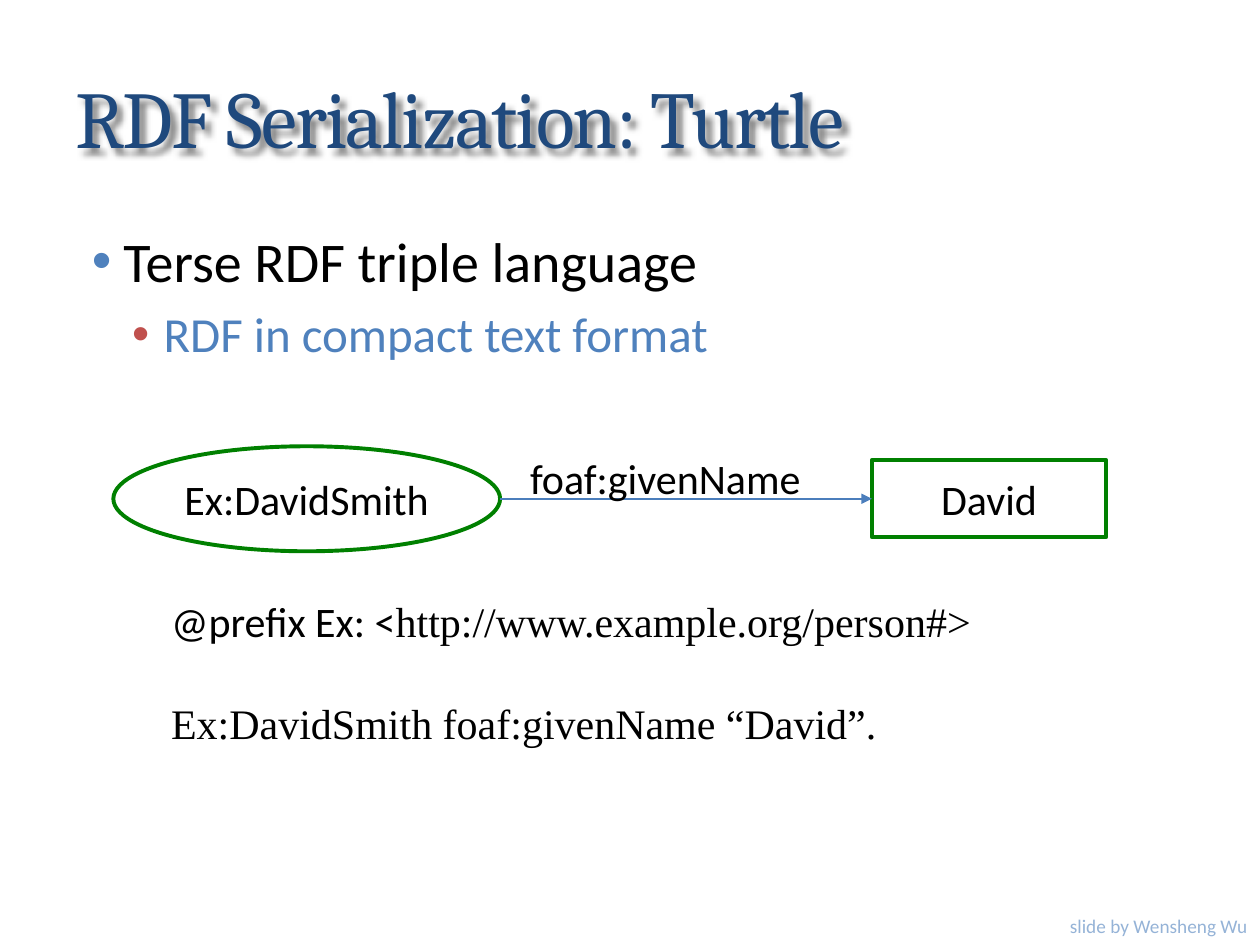
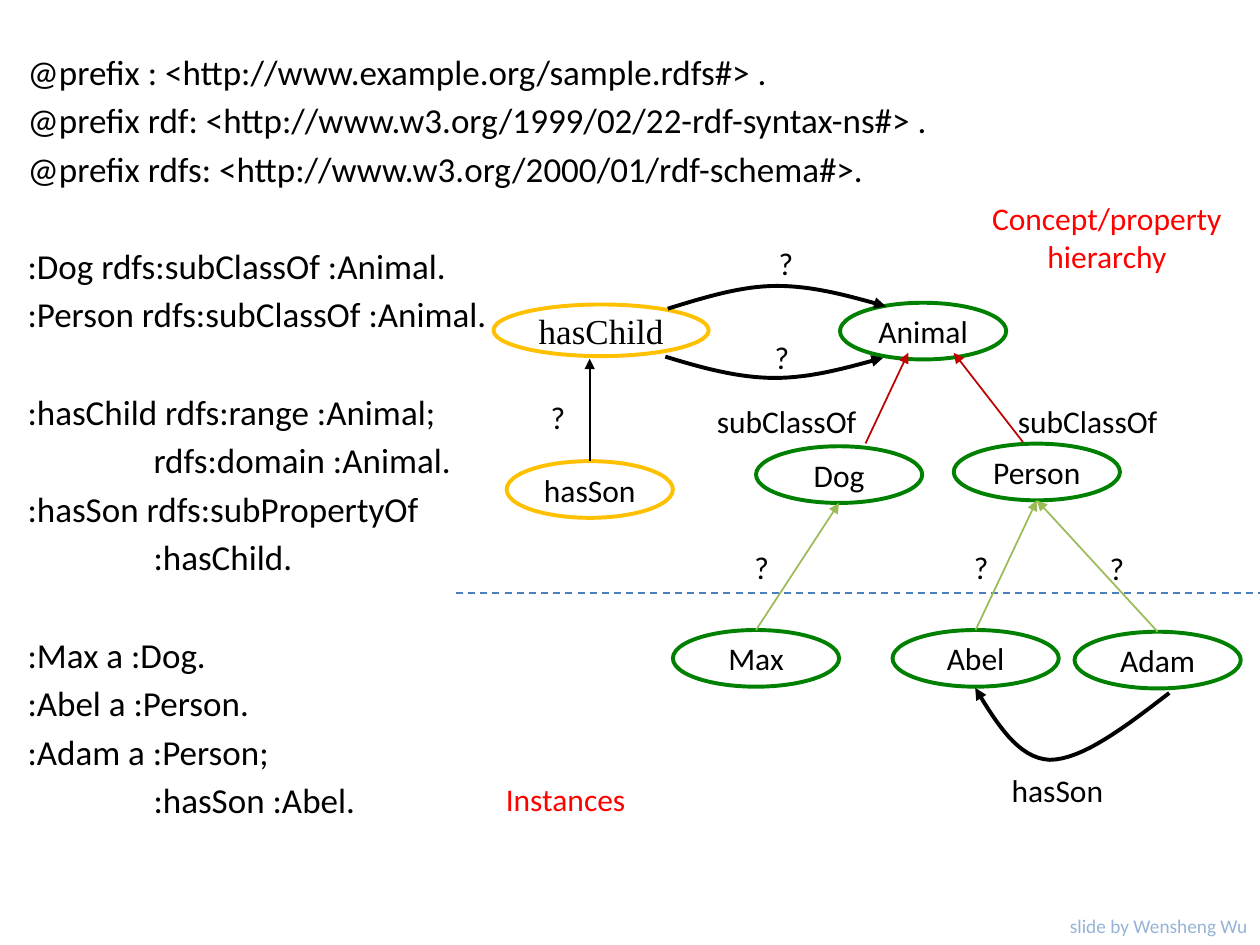
from collections import namedtuple

from lxml import etree
from pptx import Presentation
from pptx.dml.color import RGBColor
from pptx.enum.dml import MSO_LINE_DASH_STYLE as Dash
from pptx.enum.shapes import MSO_CONNECTOR as Connector, MSO_SHAPE as Shape
from pptx.enum.text import MSO_ANCHOR as Anchor, PP_ALIGN as Align
from pptx.oxml.ns import qn
from pptx.util import Pt

COLORS = {
    "title": "1F497D", "text": "000000", "accent": "4F81BD",
    "sub_bullet": "C0504D", "link": "4B7EBC", "green": "008000",
    "gold": "FFC000", "red": "C00000", "note": "FF0000",
    "instance": "9BBB59", "footer": "95B3D7",
}
BODY, HEADING, SERIF = "Calibri", "Cambria", "Times New Roman"
Box = namedtuple("Box", "left top width height")

FOOTER_BOX = Box(602.6, 519, 117.4, 21)
NODE_WIDTH, NODE_HEIGHT = 95, 32.4


# Shared helpers
def color(name):
    return RGBColor.from_string(COLORS[name])


def within(box, left, top, width, height):
    return Box(box.left + left, box.top + top, width, height)


def style(font, size, name=BODY, shade="text"):
    font.size, font.name = Pt(size), name
    font.color.rgb = color(shade)


def add_text(page, box, lines, size, name=BODY, shade="text",
             align=Align.LEFT, anchor=Anchor.TOP, wrap=False):
    shape = page.shapes.add_textbox(*map(Pt, box))
    frame = shape.text_frame
    frame.word_wrap, frame.vertical_anchor = wrap, anchor
    for index, line in enumerate(lines):
        para = frame.paragraphs[0] if index == 0 else frame.add_paragraph()
        para.text, para.alignment = line, align
        style(para.font, size, name, shade)
    return shape


def indent(para, left, hanging=0):
    props = para._p.get_or_add_pPr()
    props.set("marL", str(Pt(left)))
    props.set("indent", str(Pt(-hanging)))
    return props


def add_bullet(para, left, shade):
    props = indent(para, left, 18)
    bullet_color = etree.SubElement(props, qn("a:buClr"))
    etree.SubElement(bullet_color, qn("a:srgbClr"), val=COLORS[shade])
    etree.SubElement(props, qn("a:buFont"), typeface="Arial")
    etree.SubElement(props, qn("a:buChar"), char="•")


def set_line(shape, shade, width, arrow=False):
    shape.line.color.rgb = color(shade)
    shape.line.width = Pt(width)
    if arrow:
        etree.SubElement(shape.line._get_or_add_ln(), qn("a:tailEnd"), type="triangle")


def add_node(page, box, text, shade="green", size=18, name=BODY, kind=Shape.OVAL):
    node = page.shapes.add_shape(kind, *map(Pt, box))
    node.shadow.inherit = False
    node.fill.background()
    set_line(node, shade, 2.25)
    frame = node.text_frame
    frame.word_wrap, frame.vertical_anchor = False, Anchor.MIDDLE
    para = frame.paragraphs[0]
    para.text, para.alignment = text, Align.CENTER
    style(para.font, size, name)
    return node


def add_line(page, box, start, end, shade, arrow=True):
    ends = [Pt(base + offset) for point in (start, end)
            for base, offset in zip(box[:2], point)]
    line = page.shapes.add_connector(Connector.STRAIGHT, *ends)
    set_line(line, shade, 1, arrow)
    etree.SubElement(line._element.spPr, qn("a:effectLst"))
    return line


def bezier(points, steps=16):
    for step in range(1, steps + 1):
        t = step / steps
        weights = ((1 - t) ** 3, 3 * t * (1 - t) ** 2, 3 * t * t * (1 - t), t ** 3)
        yield tuple(sum(w * p[axis] for w, p in zip(weights, points)) for axis in (0, 1))


def add_curve(page, box, points):
    """Draw an arrow along two joined cubic curves (seven points)."""
    path = [points[0], *bezier(points[:4]), *bezier(points[3:])]
    path = [(Pt(box.left + x), Pt(box.top + y)) for x, y in path]
    builder = page.shapes.build_freeform(*path[0])
    builder.add_line_segments(path[1:], close=False)
    curve = builder.convert_to_shape()
    curve.shadow.inherit = False
    curve.fill.background()
    set_line(curve, "text", 2.25, arrow=True)


def add_footer(page, box):
    add_text(page, box, ["slide by Wensheng Wu"], 11, shade="footer", align=Align.RIGHT)


# Turtle slide
def add_title(page, box, text):
    title = add_text(page, box, [text], 46, HEADING, "title",
                     anchor=Anchor.MIDDLE, wrap=True)
    title.text_frame.paragraphs[0].runs[0]._r.get_or_add_rPr().set("spc", "-100")
    effects = etree.SubElement(title._element.spPr, qn("a:effectLst"))
    shadow = etree.SubElement(effects, qn("a:outerShdw"), blurRad=str(Pt(4)),
                              dist=str(Pt(4)), dir="2700000", algn="tl")
    shade = etree.SubElement(shadow, qn("a:srgbClr"), val=COLORS["text"])
    etree.SubElement(shade, qn("a:alpha"), val="50000")


def add_outline(page, box):
    shape = add_text(page, box, ["Terse RDF triple language",
                                 "RDF in compact text format"], 32, wrap=True)
    main, detail = shape.text_frame.paragraphs
    style(detail.font, 28, shade="accent")
    main.space_before, detail.space_before = Pt(6.4), Pt(5.6)
    add_bullet(main, 27.4, "accent")
    add_bullet(detail, 50.4, "sub_bullet")


def add_triple(page, box):
    add_node(page, within(box, 0, 0, 221, 60), "Ex:DavidSmith", size=24)
    value = add_node(page, within(box, 433.4, 8, 134, 44), "David",
                     size=24, kind=Shape.RECTANGLE)
    link = add_line(page, box, (221, 30), (433.4, 30), "link")
    link.end_connect(value, 1)
    add_text(page, within(box, 231, 0, 184, 36), ["foaf:givenName"], 24)


def add_turtle_code(page, box):
    shape = add_text(page, box, ["@prefix Ex: <", "Ex:DavidSmith foaf:givenName “David”."],
                     24, SERIF)
    prefix, statement = shape.text_frame.paragraphs
    prefix.runs[0].font.name = BODY
    address = prefix.add_run()
    address.text = "http://www.example.org/person#>"
    statement.space_before = Pt(29.5)


def build_turtle(page):
    add_title(page, Box(36, 21.6, 649, 90), "RDF Serialization: Turtle")
    add_outline(page, Box(36, 126, 648, 378))
    add_turtle_code(page, Box(90.7, 337, 482, 153))
    add_triple(page, Box(64.8, 255, 567.4, 60))
    add_footer(page, FOOTER_BOX)


# Schema slide
CODE_BLOCKS = [
    ["@prefix : <http://www.example.org/sample.rdfs#> .",
     "@prefix rdf: <http://www.w3.org/1999/02/22-rdf-syntax-ns#> .",
     "@prefix rdfs: <http://www.w3.org/2000/01/rdf-schema#>."],
    [":Dog rdfs:subClassOf :Animal.", ":Person rdfs:subClassOf :Animal."],
    [":hasChild rdfs:range :Animal;", "rdfs:domain :Animal.",
     ":hasSon rdfs:subPropertyOf", ":hasChild."],
    [":Max a :Dog.", ":Abel a :Person.", ":Adam a :Person;", ":hasSon :Abel."],
]
CONTINUATIONS = {"rdfs:domain :Animal.", ":hasChild.", ":hasSon :Abel."}
NODES = {  # name: left, top, line colour
    "Animal": (220, 63, "green"), "Dog": (172, 145, "green"),
    "Person": (285, 143.5, "green"), "hasSon": (29.5, 153.5, "gold"),
    "Max": (124.5, 250, "green"), "Abel": (250, 250, "green"),
    "Adam": (354, 251, "green"),
}
INSTANCE_OF = [("Max", "Dog"), ("Abel", "Person"), ("Adam", "Person")]
ARROWS = [
    ((234.6, 143.4), (259, 91.6), "red"),
    ((324.6, 142.7), (285, 91.6), "red"),
    ((77, 153.5), (77, 95), "text"),
]
CURVES = [
    [(121.6, 66.4), (142.5, 60), (163.4, 53.4), (184.2, 53.4),
     (205, 53.4), (225.3, 59.2), (246.2, 65)],
    [(120.2, 93.8), (141, 100.2), (162, 106), (182.8, 106),
     (203.7, 106), (223.8, 100.2), (244.7, 94.5)],
    [(408.2, 286), (383, 305.4), (358.5, 324.2), (339.8, 324.2),
     (321.8, 323.4), (309.5, 303.3), (297.3, 283.1)],
]
LABELS = [  # text, left, top, width
    ("?", 177.8, 26, 23), ("?", 175.6, 79.4, 23), ("?", 47.5, 114, 23),
    ("?", 164, 199.6, 23), ("?", 289.4, 199.6, 23), ("?", 367, 200.3, 23),
    ("subClassOf", 142.5, 116, 95), ("subClassOf", 314.5, 116, 95),
    ("hasSon", 311, 327, 67.7),
]


def add_schema_code(page, box):
    lines = [line for block in CODE_BLOCKS for line in block]
    starts = {block[0] for block in CODE_BLOCKS[1:]}
    shape = add_text(page, box, lines, 20, wrap=True)
    gap, pitch = 3.65, 28.05
    for para in shape.text_frame.paragraphs:
        indent(para, 80.64 if para.text in CONTINUATIONS else 8.64)
        para.space_before = Pt(gap + pitch if para.text in starts else gap)


def add_hierarchy(page, box):
    # Border between concepts and instances
    border = add_line(page, box, (0.6, 229), (460, 229), "link", arrow=False)
    border.line.dash_style = Dash.DASH

    # Nodes
    for name, (left, top, shade) in NODES.items():
        add_node(page, within(box, left, top, NODE_WIDTH, NODE_HEIGHT), name, shade)
    add_node(page, within(box, 22, 64, 123, 29.5), "hasChild", "gold", 20, SERIF)

    # Arrows
    for start, end, shade in ARROWS:
        add_line(page, box, start, end, shade)
    for child, parent in INSTANCE_OF:
        (left, top, _), (up_left, up_top, _) = NODES[child], NODES[parent]
        add_line(page, box, (left + NODE_WIDTH / 2, top),
                 (up_left + NODE_WIDTH / 2, up_top + NODE_HEIGHT), "instance")
    for points in CURVES:
        add_curve(page, box, points)

    # Labels
    for text, left, top, width in LABELS:
        add_text(page, within(box, left, top, width, 29), [text], 18)
    add_text(page, within(box, 298.7, 0, 147.6, 51), ["Concept/property", "hierarchy"],
             18, shade="note", align=Align.CENTER)
    add_text(page, within(box, 22, 332, 83.5, 29), ["Instances"], 18, shade="note")


def build_schema(page):
    add_schema_code(page, Box(0, 25.2, 726.5, 504))
    add_hierarchy(page, Box(260, 110, 460, 361))
    add_footer(page, FOOTER_BOX)


def main():
    deck = Presentation()
    deck.slide_width, deck.slide_height = Pt(720), Pt(540)
    blank = deck.slide_layouts[6]
    for build in (build_turtle, build_schema):
        build(deck.slides.add_slide(blank))
    deck.save("out.pptx")


if __name__ == "__main__":
    main()
